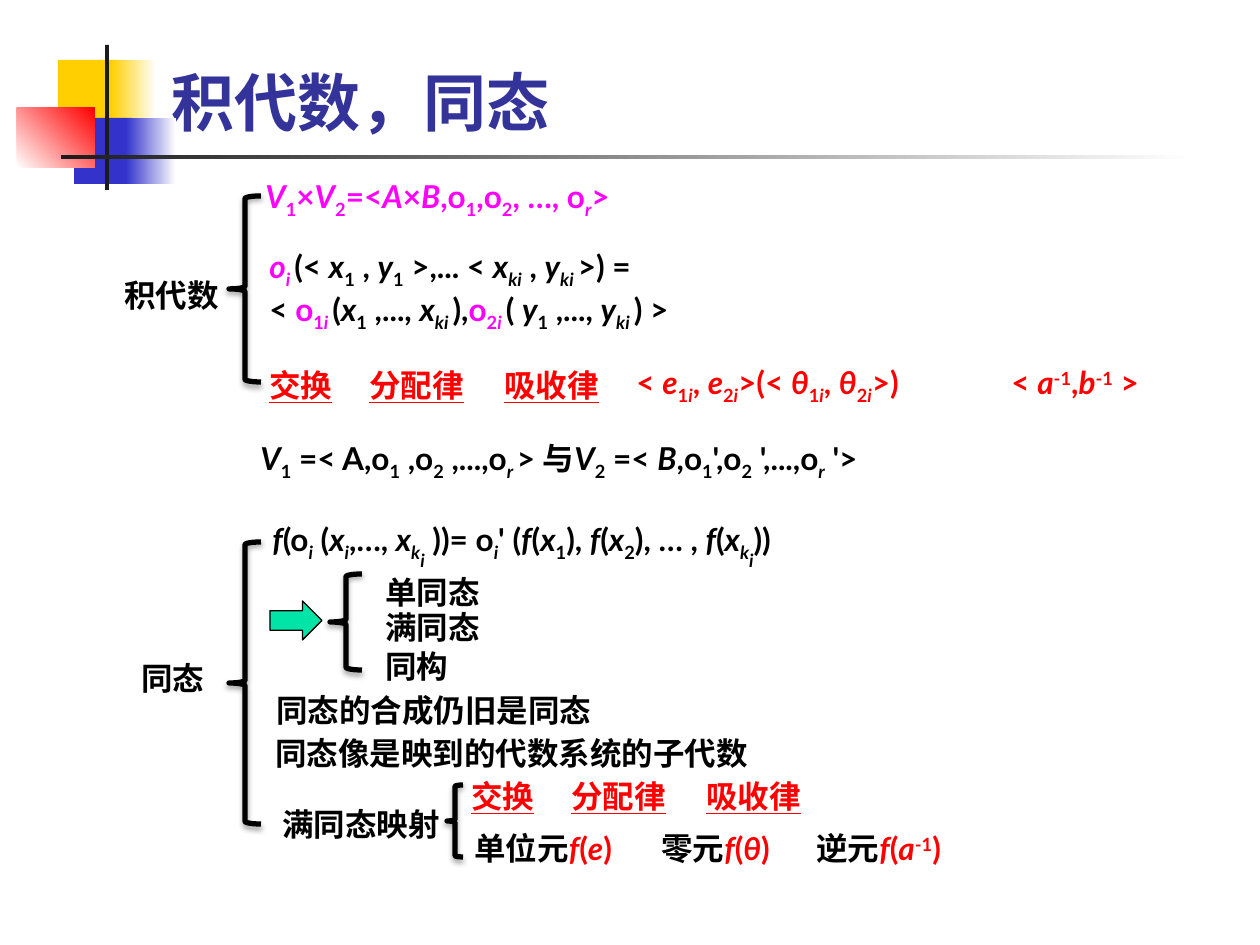
import pptx
import pptx.dml.color
import pptx.enum.shapes
import pptx.enum.text
import pptx.oxml
import pptx.oxml.ns
import pptx.util

SCALE = 914400 / 126
SHAPES = pptx.enum.shapes.MSO_SHAPE
BLACK, RED, MAGENTA, WHITE = "000000", "FF0000", "FF00FF", "FFFFFF"
YELLOW, BLUE, DARK = "FFCF01", "3333CC", "1C1C1C"

TITLE = "积代数，同态"
TITLE_BOX = (159, 10, 1074, 135)
TITLE_FORMAT = {"name": "Times New Roman", "size": pptx.util.Pt(36), "bold": True}
BODY_FORMAT = {"name": "Lato", "size": pptx.util.Pt(18), "bold": True}

# Markup toggles: * italic, _ subscript, ~ lower subscript, ^ superscript, | accent colour
BASELINES = {"_": -25000, "~": -50000, "^": 30000}

DECORATIONS = [
    ((58, 60, 60, 66), [YELLOW], 0),
    ((111, 60, 45, 66), [YELLOW, WHITE], 0),
    ((74, 118, 58, 66), [BLUE], 0),
    ((126, 118, 50, 66), [BLUE, WHITE], 0),
    ((17, 108, 78, 60), [WHITE, RED], 45),
    ((105, 45, 4, 145), [DARK], 0),
    ((61, 155, 1134, 4), [DARK, WHITE], 0),
]
BRACES = [(229, 196, 32, 186), (229, 542, 32, 282), (330, 574, 32, 96), (447, 785, 16, 72)]
ARROW = (270, 601, 52, 39)

TEXTS = [
    ((112, 270, 120, 50), BLACK, "积代数"),
    ((253, 171, 460, 50), MAGENTA, "|*V*_1_×*V*_2_=<*A*×*B*,o_1_,o_2_, …, o*_r_*>"),
    ((257, 241, 552, 89), MAGENTA,
     "|*o_i _*|(< *x*_1_ , *y*_1_ >,... < *x_ki_* , *y_ki _*>) =\n"
     "<| o_1*i *_|(*x*_1_ ,..., *x_ki _*),|o_2*i *_|( *y*_1_ ,..., *y_ki _*) >"),
    ((624, 357, 362, 50), RED, "|< *e*_1*i*_, *e*_2*i*_>(< *θ*_1*i*_, *θ*_2*i*_>)"),
    ((999, 357, 188, 50), RED, "|< *a*^-1^,*b*^-1^ >"),
    ((248, 433, 764, 50), BLACK,
     "*V*_1_ =< A,o_1_ ,o_2_ ,...,o*_r _*> 与*V*_2_ =< *B*,o_1_',o_2_ ',...,o*_r_* '>"),
    ((129, 653, 88, 50), BLACK, "同态"),
    ((260, 514, 693, 50), BLACK,
     "*f*(o*_i_* (*x_i_*,…, *x_k_~i~* ))= o*_i_*' "
     "(*f*(*x*_1_), *f*(*x*_2_), … , *f*(*x_k_~i~*))"),
    ((373, 567, 120, 50), BLACK, "单同态"),
    ((373, 602, 120, 50), BLACK, "满同态"),
    ((373, 641, 88, 50), BLACK, "同构"),
    ((264, 685, 341, 50), BLACK, "同态的合成仍旧是同态"),
    ((263, 728, 500, 50), BLACK, "同态像是映到的代数系统的子代数"),
    ((270, 799, 184, 50), BLACK, "满同态映射"),
    ((462, 823, 180, 50), RED, "单位元|*f*(*e*)"),
    ((649, 823, 149, 50), RED, "零元|*f*(*θ*)"),
    ((804, 823, 170, 50), RED, "逆元|*f*(*a*^-1^)"),
]
LAWS = [("交换", 0, 88), ("分配律", 100, 120), ("吸收律", 235, 120)]
LAW_ROWS = [(257, 360), (459, 771)]


def color(value):
    return pptx.dml.color.RGBColor.from_string(value)


def emu(box):
    return [round(length * SCALE) for length in box]


def set_format(font, values, hex_color):
    for name, value in values.items():
        setattr(font, name, value)
    font.color.rgb = color(hex_color)


def split_markup(line):
    state = dict.fromkeys("*_~^|", False)
    text = ""
    for character in line:
        if character in state:
            if text:
                yield text, dict(state)
            text = ""
            state[character] = not state[character]
        else:
            text += character
    if text:
        yield text, dict(state)


def add_text(slide, box, accent, content, underline=False):
    frame = slide.shapes.add_textbox(*emu(box)).text_frame
    frame.word_wrap = False
    frame.auto_size = pptx.enum.text.MSO_AUTO_SIZE.SHAPE_TO_FIT_TEXT
    for index, line in enumerate(content.split("\n")):
        paragraph = frame.add_paragraph() if index else frame.paragraphs[0]
        for text, state in split_markup(line):
            run = paragraph.add_run()
            run.text = text
            values = BODY_FORMAT | {"italic": state["*"], "underline": underline}
            set_format(run.font, values, accent if state["|"] else BLACK)
            for mark, offset in BASELINES.items():
                if state[mark]:
                    run._r.get_or_add_rPr().set("baseline", str(offset))


def add_shape(slide, kind, box):
    shape = slide.shapes.add_shape(kind, *emu(box))
    shape.shadow.inherit = False
    return shape


def add_decoration(slide, box, colors, angle):
    shape = add_shape(slide, SHAPES.RECTANGLE, box)
    shape.line.fill.background()
    if len(colors) == 1:
        shape.fill.solid()
        shape.fill.fore_color.rgb = color(colors[0])
        return
    shape.fill.gradient()
    shape.fill.gradient_angle = angle
    for stop, value, position in zip(shape.fill.gradient_stops, colors, (0, 1)):
        stop.color.rgb = color(value)
        stop.position = position


def add_brace(slide, box):
    brace = add_shape(slide, SHAPES.LEFT_BRACE, box)
    brace.fill.background()
    brace.line.color.rgb = color(BLACK)
    brace.line.width = pptx.util.Pt(3)
    effects = brace._element.spPr.find(pptx.oxml.ns.qn("a:effectLst"))
    effects.append(pptx.oxml.parse_xml(
        f'<a:outerShdw {pptx.oxml.ns.nsdecls("a")} blurRad="40000" dist="23000" '
        'dir="5400000" rotWithShape="0"><a:srgbClr val="000000">'
        '<a:alpha val="35000"/></a:srgbClr></a:outerShdw>'))


def main():
    presentation = pptx.Presentation()
    presentation.slide_width = pptx.util.Inches(10)
    presentation.slide_height = pptx.util.Inches(7.5)
    slide = presentation.slides.add_slide(presentation.slide_layouts[5])

    for decoration in DECORATIONS:
        add_decoration(slide, *decoration)

    title = slide.shapes.title
    title.left, title.top, title.width, title.height = emu(TITLE_BOX)
    title.text_frame.text = TITLE
    title.text_frame.vertical_anchor = pptx.enum.text.MSO_ANCHOR.BOTTOM
    paragraph = title.text_frame.paragraphs[0]
    paragraph.alignment = pptx.enum.text.PP_ALIGN.LEFT
    set_format(paragraph.runs[0].font, TITLE_FORMAT, "333399")

    for box, accent, content in TEXTS:
        add_text(slide, box, accent, content)
    for left, top in LAW_ROWS:
        for name, offset, width in LAWS:
            add_text(slide, (left + offset, top, width, 50), RED, "|" + name, True)
    for box in BRACES:
        add_brace(slide, box)

    arrow = add_shape(slide, SHAPES.RIGHT_ARROW, ARROW)
    arrow.fill.solid()
    arrow.fill.fore_color.rgb = color("00E4A8")
    arrow.line.color.rgb = color(BLACK)
    arrow.line.width = pptx.util.Pt(0.75)

    presentation.save("out.pptx")


if __name__ == "__main__":
    main()
